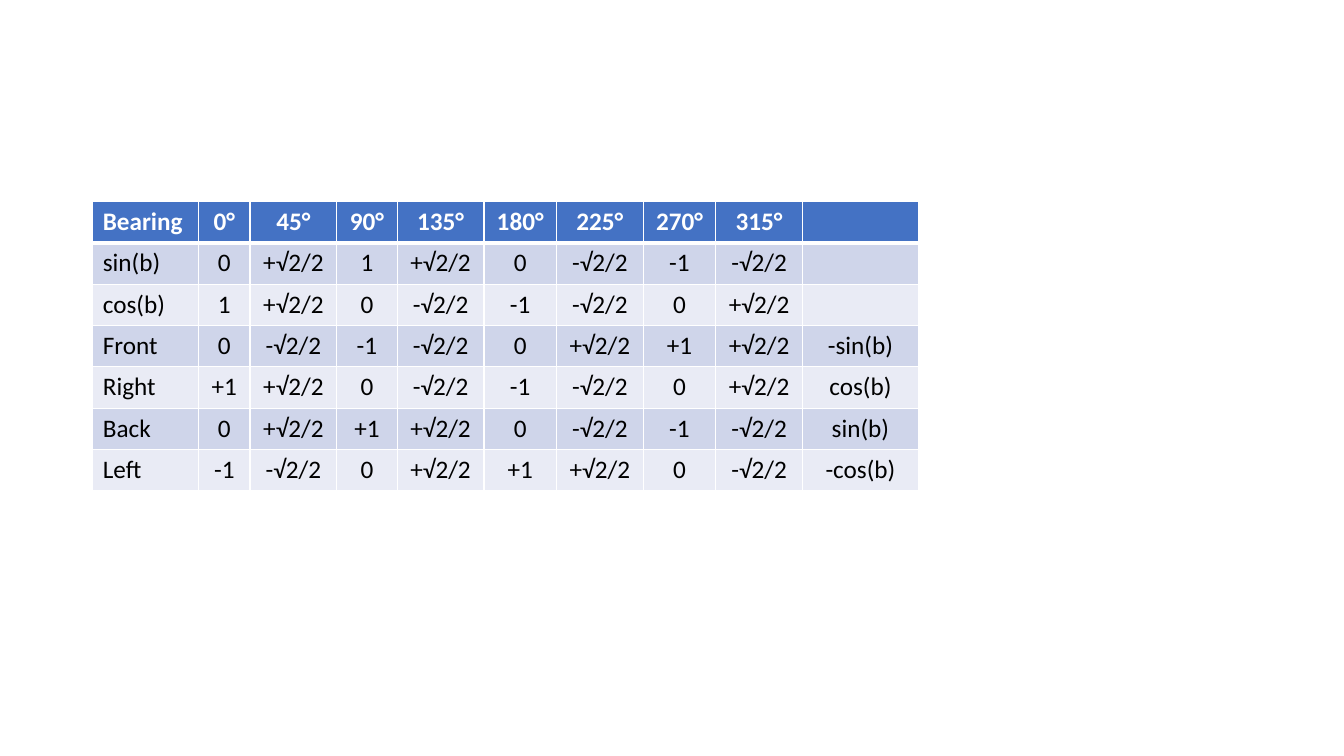
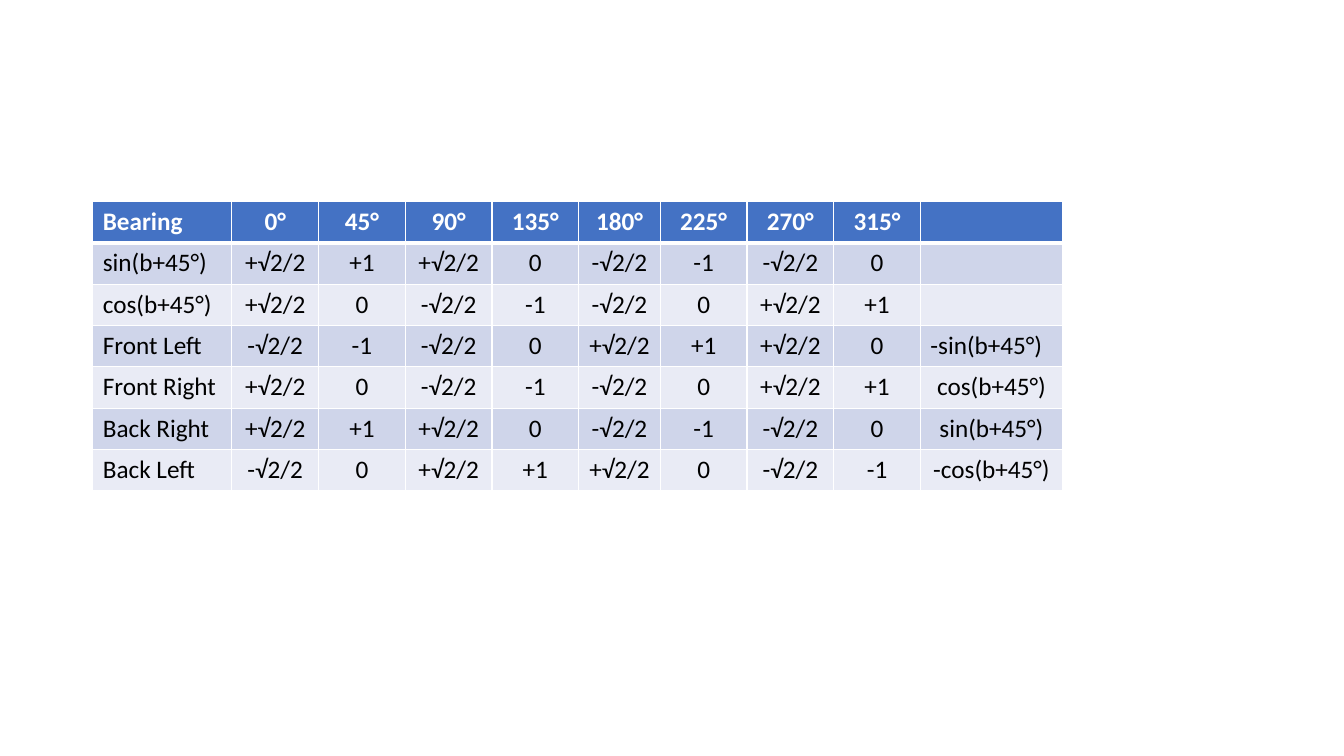
from pptx import Presentation
from pptx.dml.color import RGBColor
from pptx.enum.text import PP_ALIGN as Align
from pptx.oxml import parse_xml
from pptx.oxml.ns import nsdecls
from pptx.util import Inches, Pt

FONT, SIZE = "Calibri", 18
WHITE, BLACK, BLUE = "FFFFFF", "000000", "4472C4"
BANDS = ["E9EBF5", "CFD5EA"]
LEFT, TOP, ROW_H = 0.92, 2, 0.41
ANGLES = [f"{turn}°" for turn in range(0, 360, 45)]

SIDES = {
    "widths": [1.05, 0.51, 0.86, 0.6, 0.86, 0.72, 0.86, 0.72, 0.86, 1.15],
    "rows": [
        ("sin(b)", "0 +√2/2 1 +√2/2 0 -√2/2 -1 -√2/2", ""),
        ("cos(b)", "1 +√2/2 0 -√2/2 -1 -√2/2 0 +√2/2", ""),
        ("Front", "0 -√2/2 -1 -√2/2 0 +√2/2 +1 +√2/2", "-sin(b)"),
        ("Right", "+1 +√2/2 0 -√2/2 -1 -√2/2 0 +√2/2", "cos(b)"),
        ("Back", "0 +√2/2 +1 +√2/2 0 -√2/2 -1 -√2/2", "sin(b)"),
        ("Left", "-1 -√2/2 0 +√2/2 +1 +√2/2 0 -√2/2", "-cos(b)"),
    ],
}
CORNERS = {
    "widths": [1.38, 0.86, 0.86, 0.86, 0.86, 0.81, 0.86, 0.86, 0.86, 1.41],
    "rows": [
        ("sin(b+45°)", "+√2/2 +1 +√2/2 0 -√2/2 -1 -√2/2 0", ""),
        ("cos(b+45°)", "+√2/2 0 -√2/2 -1 -√2/2 0 +√2/2 +1", ""),
        ("Front Left", "-√2/2 -1 -√2/2 0 +√2/2 +1 +√2/2 0", "-sin(b+45°)"),
        ("Front Right", "+√2/2 0 -√2/2 -1 -√2/2 0 +√2/2 +1", "cos(b+45°)"),
        ("Back Right", "+√2/2 +1 +√2/2 0 -√2/2 -1 -√2/2 0", "sin(b+45°)"),
        ("Back Left", "-√2/2 0 +√2/2 +1 +√2/2 0 -√2/2 -1", "-cos(b+45°)"),
    ],
    "flush": {(3, 9)},
}


def color(code):
    """Turn a hex string into a colour."""
    return RGBColor.from_string(code)


def set_edges(cell, top, base):
    """Draw white cell borders, with top and base widths in points."""
    props = cell._tc.get_or_add_tcPr()
    for side, width in (("L", 1), ("R", 1), ("T", top), ("B", base)):
        props.append(parse_xml(
            f'<a:ln{side} {nsdecls("a")} w="{Pt(width)}"><a:solidFill>'
            f'<a:srgbClr val="{WHITE}"/></a:solidFill></a:ln{side}>'))


def fill_cell(cell, text, row, align):
    """Write and style one cell according to its row."""
    head = row == 0
    set_edges(cell, 3 if row == 1 else 1, 3 if head else 1)
    cell.fill.solid()
    cell.fill.fore_color.rgb = color(BLUE if head else BANDS[row % 2])
    cell.text = text
    para = cell.text_frame.paragraphs[0]
    para.alignment = align
    font = para.font
    font.name, font.size, font.bold = FONT, Pt(SIZE), head
    font.color.rgb = color(WHITE if head else BLACK)


def add_grid(slide, widths, rows, flush=()):
    """Add a bearing table, left-aligning its labels and flush cells."""
    lines = [["Bearing", *ANGLES, ""]]
    lines += [[name, *values.split(), rule] for name, values, rule in rows]
    grid = slide.shapes.add_table(
        len(lines), len(widths), Inches(LEFT), Inches(TOP),
        Inches(sum(widths)), Inches(ROW_H * len(lines))).table
    for col, width in zip(grid.columns, widths):
        col.width = Inches(width)
    for row, line in enumerate(lines):
        grid.rows[row].height = Inches(ROW_H)
        for col, text in enumerate(line):
            left = col == 0 or (row, col) in flush
            fill_cell(grid.cell(row, col), text, row,
                      Align.LEFT if left else Align.CENTER)


def main():
    """Build and save the deck."""
    deck = Presentation()
    deck.slide_width, deck.slide_height = Inches(13.33), Inches(7.5)
    blank = deck.slide_layouts[6]
    for data in (SIDES, CORNERS):
        add_grid(deck.slides.add_slide(blank), **data)
    deck.save("out.pptx")


if __name__ == "__main__":
    main()
